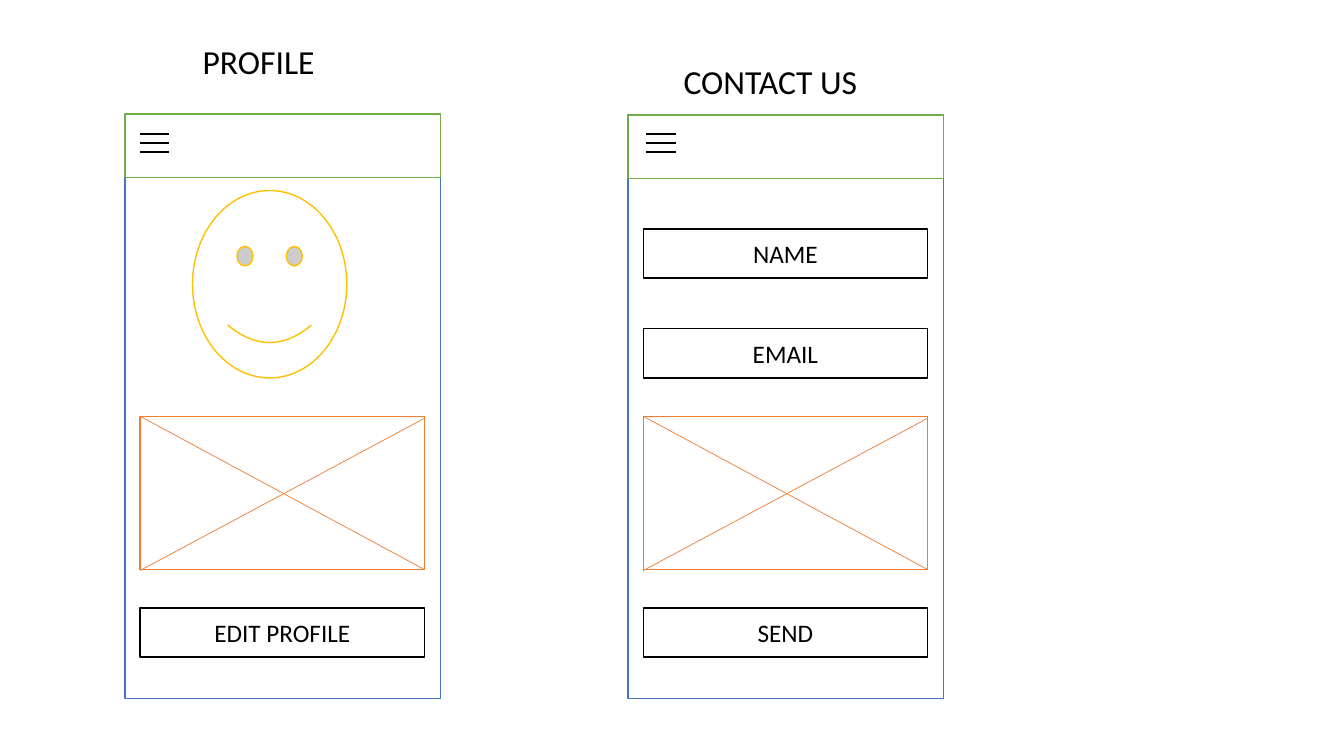
from lxml import etree
from pptx import Presentation
from pptx.dml.color import RGBColor
from pptx.enum.shapes import MSO_CONNECTOR as Connector
from pptx.enum.shapes import MSO_SHAPE as Shape
from pptx.enum.text import MSO_ANCHOR as Anchor
from pptx.enum.text import MSO_AUTO_SIZE as AutoSize
from pptx.enum.text import PP_ALIGN as Align
from pptx.oxml.ns import qn
from pptx.util import Inches, Pt

WHITE = RGBColor(0xFF, 0xFF, 0xFF)
BLACK = RGBColor(0x00, 0x00, 0x00)
BLUE = RGBColor(0x44, 0x72, 0xC4)
GREEN = RGBColor(0x70, 0xAD, 0x47)
ORANGE = RGBColor(0xED, 0x7D, 0x31)
GOLD = RGBColor(0xFF, 0xC0, 0x00)

FIELD_WIDTH, FIELD_HEIGHT = 2.82, 0.49
IMAGE_TOP, IMAGE_HEIGHT = 4.13, 1.52
BUTTON_TOP = 6.03


def write_text(box, text, size=18, align=Align.CENTER, anchor=Anchor.MIDDLE, spacing=None):
    frame = box.text_frame
    frame.word_wrap = True
    frame.auto_size = AutoSize.NONE
    frame.vertical_anchor = anchor
    para = frame.paragraphs[0]
    para.alignment = align
    para.line_spacing = spacing
    span = para.add_run()
    span.text = text
    span.font.name = "Calibri"
    span.font.size = Pt(size)
    span.font.color.rgb = BLACK


class Wireframe:
    def __init__(self, page):
        self.page = page

    def shape(self, left, top, width, height, color, kind=Shape.RECTANGLE):
        box = self.page.shapes.add_shape(
            kind, Inches(left), Inches(top), Inches(width), Inches(height))
        box.shadow.inherit = False
        box.fill.solid()
        box.fill.fore_color.rgb = WHITE
        box.line.color.rgb = color
        box.line.width = Pt(1)
        return box

    def line(self, start, end, color, width):
        line = self.page.shapes.add_connector(
            Connector.STRAIGHT, *(Inches(value) for value in (*start, *end)))
        line.line.color.rgb = color
        line.line.width = Pt(width)
        etree.SubElement(line._element.spPr, qn("a:effectLst"))

    def heading(self, box, left, text, **style):
        box.left, box.top = Inches(left), Inches(0.21)
        box.width, box.height = Inches(2.2), Inches(0.85)
        write_text(box, text, size=24, spacing=0.9, **style)

    def screen(self, left, header_top):
        self.shape(left, 1.14, 3.13, 5.79, BLUE)
        self.shape(left, header_top, 3.13, 0.63, GREEN)

    def menu(self, left):
        for row in range(3):
            top = 1.33 + 0.09 * row
            self.line((left, top), (left + 0.29, top), BLACK, 1.5)

    def field(self, left, top, text):
        box = self.shape(left, top, FIELD_WIDTH, FIELD_HEIGHT, BLACK)
        write_text(box, text)

    def image_area(self, left):
        right, bottom = left + FIELD_WIDTH, IMAGE_TOP + IMAGE_HEIGHT
        self.shape(left, IMAGE_TOP, FIELD_WIDTH, IMAGE_HEIGHT, ORANGE)
        self.line((left, IMAGE_TOP), (right, bottom), ORANGE, 0.5)
        self.line((right, IMAGE_TOP + 0.02), (left, bottom + 0.01), ORANGE, 0.5)


def main():
    deck = Presentation()
    deck.slide_width, deck.slide_height = Inches(13.33), Inches(7.5)
    page = deck.slides.add_slide(deck.slide_layouts[5])
    wireframe = Wireframe(page)

    wireframe.heading(page.shapes.title, 1.91, "PROFILE", align=Align.LEFT)
    wireframe.screen(1.24, 1.13)
    wireframe.menu(1.39)
    wireframe.shape(1.91, 1.89, 1.53, 1.86, GOLD, Shape.SMILEY_FACE)
    wireframe.image_area(1.39)
    wireframe.field(1.39, BUTTON_TOP, "EDIT PROFILE")

    contact_heading = page.shapes.add_textbox(0, 0, 0, 0)
    wireframe.heading(contact_heading, 6.54, "CONTACT US", anchor=Anchor.BOTTOM)
    wireframe.screen(6.23, 1.14)
    wireframe.menu(6.41)
    wireframe.image_area(6.38)
    for top, text in ((2.27, "NAME"), (3.26, "EMAIL"), (BUTTON_TOP, "SEND")):
        wireframe.field(6.38, top, text)

    deck.save("out.pptx")


if __name__ == "__main__":
    main()
